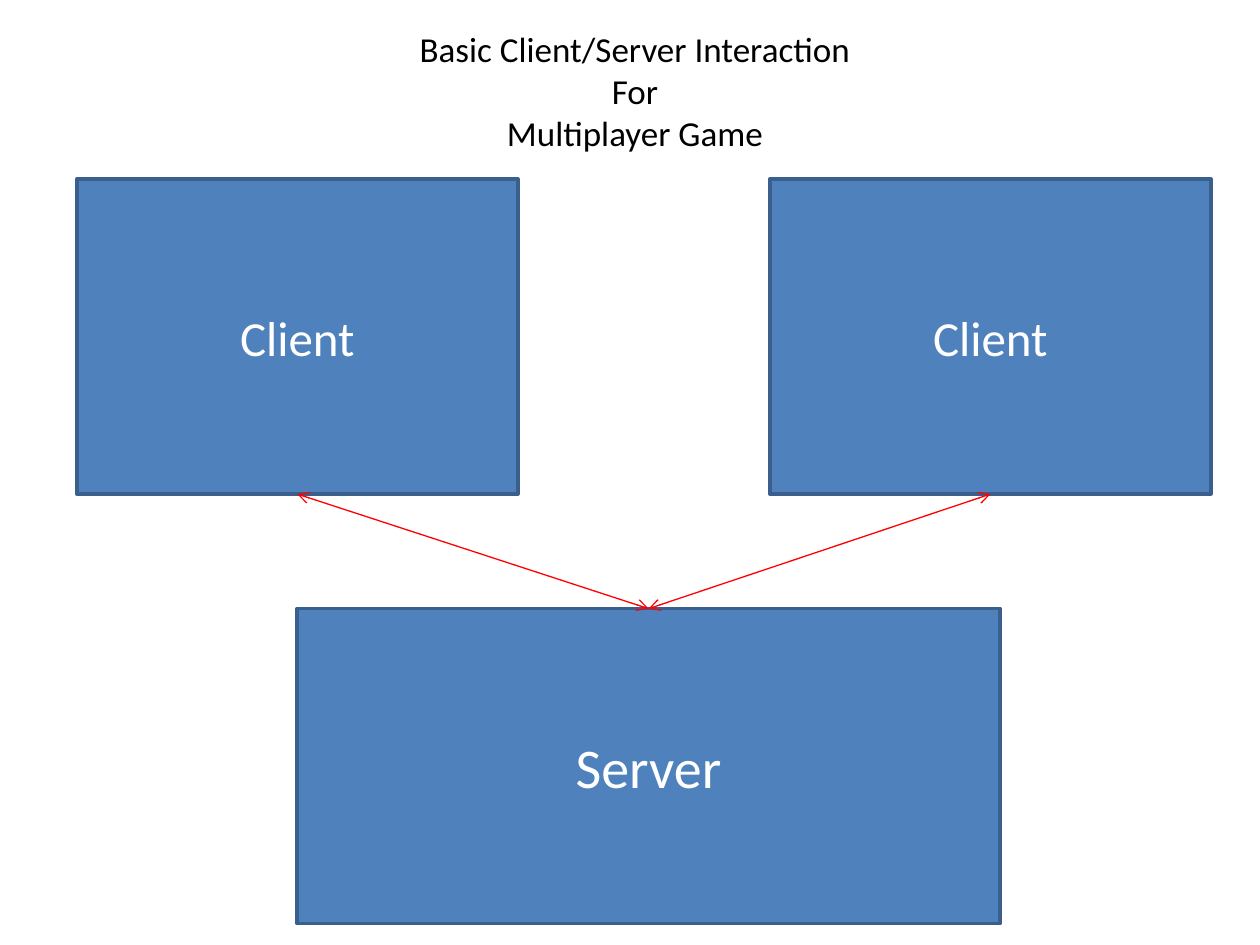
from lxml import etree
from pptx import Presentation
from pptx import util as u
from pptx.dml.color import RGBColor
from pptx.enum import shapes, text
from pptx.oxml import ns

BLUE = RGBColor(0x4F, 0x81, 0xBD)
DARK_BLUE = RGBColor(0x3A, 0x5F, 0x8C)
RED = RGBColor(0xFF, 0x00, 0x00)
WHITE = RGBColor(0xFF, 0xFF, 0xFF)
BLACK = RGBColor(0x00, 0x00, 0x00)
TOP, BOTTOM = 0, 2


def write(frame, wording, size, color, anchor):
    frame.text = wording
    frame.word_wrap = True
    frame.auto_size = text.MSO_AUTO_SIZE.NONE
    frame.vertical_anchor = anchor
    for para in frame.paragraphs:
        para.alignment = text.PP_ALIGN.CENTER
        for span in para.runs:
            span.font.name = "Calibri"
            span.font.size = u.Pt(size)
            span.font.color.rgb = color


deck = Presentation()
deck.slide_width, deck.slide_height = u.Cm(25.4), u.Cm(19.05)
page = deck.slides.add_slide(deck.slide_layouts.get_by_name("Title Only"))

title = page.shapes.title
title.left, title.top = u.Cm(7.82), u.Cm(0.43)
title.width, title.height = u.Cm(9.96), u.Cm(2.82)
write(title.text_frame, "Basic Client/Server Interaction For\nMultiplayer Game",
      size=20, color=BLACK, anchor=text.MSO_ANCHOR.TOP)

boxes = []
for label, left, top, width, size in [
    ("Server", 5.99, 12.27, 14.17, 32),
    ("Client", 1.55, 3.61, 8.89, 28),
    ("Client", 15.52, 3.61, 8.89, 28),
]:
    box = page.shapes.add_shape(shapes.MSO_SHAPE.RECTANGLE, u.Cm(left), u.Cm(top),
                                u.Cm(width), u.Cm(6.35))
    box.shadow.inherit = False
    box.fill.solid()
    box.fill.fore_color.rgb = BLUE
    box.line.color.rgb = DARK_BLUE
    box.line.width = u.Pt(2)
    write(box.text_frame, label, size=size, color=WHITE, anchor=text.MSO_ANCHOR.MIDDLE)
    boxes.append(box)

server, *clients = boxes
for client in clients:
    arrow = page.shapes.add_connector(shapes.MSO_CONNECTOR.STRAIGHT, 0, 0, 0, 0)
    arrow.begin_connect(client, BOTTOM)
    arrow.end_connect(server, TOP)
    arrow.line.color.rgb = RED
    arrow.line.width = u.Pt(0.75)
    outline = arrow.line._get_or_add_ln()
    for end in ("a:headEnd", "a:tailEnd"):
        etree.SubElement(outline, ns.qn(end), type="arrow")
    etree.SubElement(arrow._element.spPr, ns.qn("a:effectLst"))

deck.save("out.pptx")
